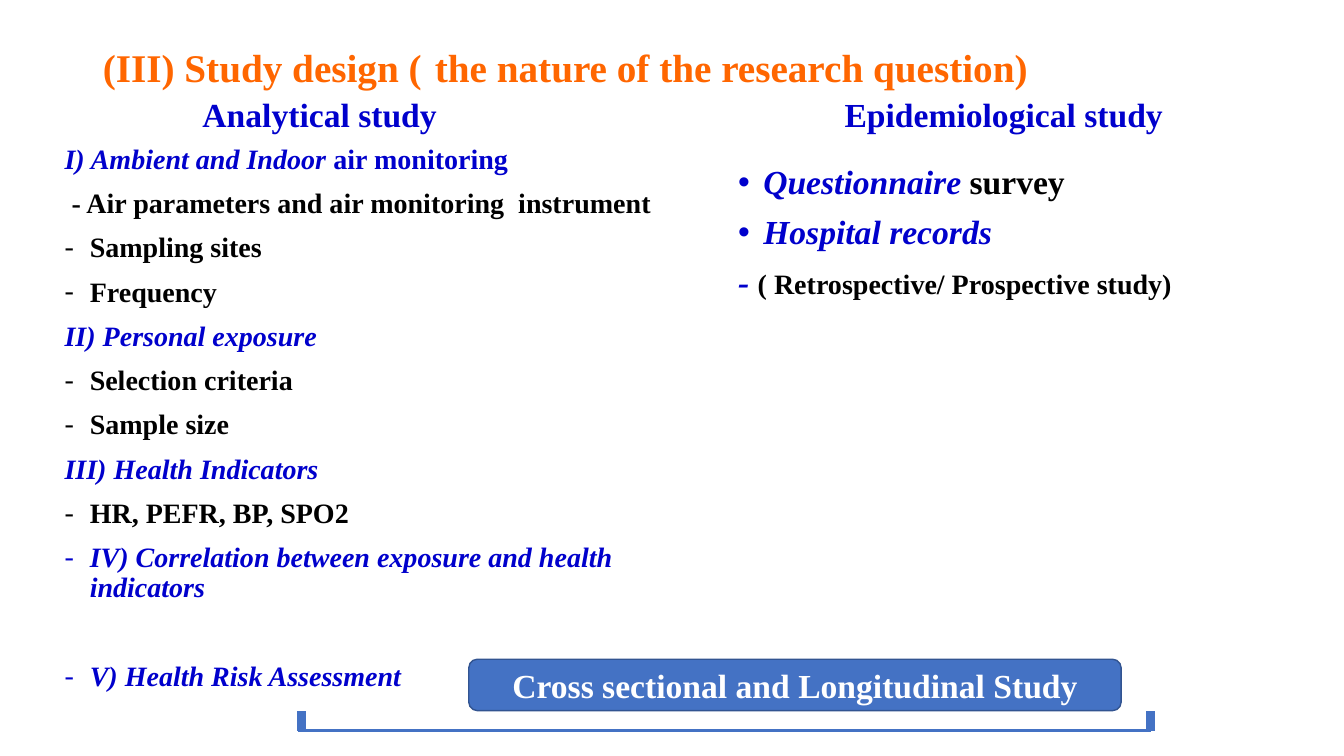
import pptx
import pptx.dml.color
import pptx.enum.shapes
import pptx.enum.text
import pptx.oxml.ns
import pptx.util
import lxml.etree

ALIGN = pptx.enum.text.PP_ALIGN
ANCHOR = pptx.enum.text.MSO_ANCHOR
ORANGE, NAVY, BLACK, WHITE = "FF6600", "0000CC", "000000", "FFFFFF"
STEEL, STEEL_EDGE = "4472C4", "325491"


def px(length):
    return pptx.util.Inches(length / 100)


def colour(value):
    return pptx.dml.color.RGBColor.from_string(value)


class StudySlide:
    font = "Times New Roman"
    indent = 25

    def __init__(self, deck):
        self.slide = deck.slides.add_slide(deck.slide_layouts[4])

    def style(self, run, size, hue, bold=True, italic=False, font=None):
        run.font.name = font or self.font
        run.font.size = pptx.util.Pt(size)
        run.font.bold = bold
        run.font.italic = italic
        run.font.color.rgb = colour(hue)

    def placeholder(self, idx, box, anchor):
        holder = self.slide.placeholders[idx]
        holder.left, holder.top, holder.width, holder.height = map(px, box)
        frame = holder.text_frame
        frame.word_wrap = True
        frame.auto_size = pptx.enum.text.MSO_AUTO_SIZE.NONE
        frame.vertical_anchor = anchor
        return frame

    def spacing(self, paragraph, before, align=ALIGN.LEFT):
        paragraph.alignment = align
        paragraph.line_spacing = 0.9
        paragraph.space_before = pptx.util.Pt(before)
        paragraph.space_after = pptx.util.Pt(0)

    def bullet(self, paragraph, mark):
        properties = paragraph._p.get_or_add_pPr()
        hang = px(self.indent) if mark else 0
        properties.set("marL", str(hang))
        properties.set("indent", str(-hang))
        qn = pptx.oxml.ns.qn
        if not mark:
            lxml.etree.SubElement(properties, qn("a:buNone"))
            return
        typeface = "Arial" if mark == "•" else self.font
        lxml.etree.SubElement(properties, qn("a:buFont"), typeface=typeface)
        lxml.etree.SubElement(properties, qn("a:buChar"), char=mark)

    def title(self, box, pieces):
        paragraph = self.placeholder(0, box, ANCHOR.MIDDLE).paragraphs[0]
        self.spacing(paragraph, 0)
        for wording, look in pieces:
            run = paragraph.add_run()
            run.text = wording
            self.style(run, **look)

    def heading(self, idx, box, wording):
        frame = self.placeholder(idx, box, ANCHOR.BOTTOM)
        frame.text = wording
        paragraph = frame.paragraphs[0]
        self.spacing(paragraph, 10, ALIGN.CENTER)
        self.bullet(paragraph, None)
        self.style(paragraph.runs[0], 24, NAVY)

    def points(self, idx, box, entries):
        frame = self.placeholder(idx, box, ANCHOR.TOP)
        for number, (mark, before, pieces) in enumerate(entries):
            paragraph = frame.add_paragraph() if number else frame.paragraphs[0]
            self.spacing(paragraph, before)
            self.bullet(paragraph, mark)
            for wording, size, hue in pieces:
                run = paragraph.add_run()
                run.text = wording
                emphasised = hue == NAVY and wording != "air monitoring"
                self.style(run, size, hue, italic=emphasised)

    def line(self, start, end, weight):
        connector = self.slide.shapes.add_connector(
            pptx.enum.shapes.MSO_CONNECTOR.STRAIGHT, *map(px, start + end))
        connector.line.color.rgb = colour(STEEL)
        connector.line.width = pptx.util.Pt(weight)
        lxml.etree.SubElement(connector._element.spPr, pptx.oxml.ns.qn("a:effectLst"))

    def banner(self, box, wording):
        panel = self.slide.shapes.add_shape(
            pptx.enum.shapes.MSO_SHAPE.ROUNDED_RECTANGLE, *map(px, box))
        panel.shadow.inherit = False
        panel.fill.solid()
        panel.fill.fore_color.rgb = colour(STEEL)
        panel.line.color.rgb = colour(STEEL_EDGE)
        panel.line.width = pptx.util.Pt(1)
        frame = panel.text_frame
        frame.word_wrap = True
        frame.vertical_anchor = ANCHOR.MIDDLE
        frame.text = wording
        frame.paragraphs[0].alignment = ALIGN.CENTER
        self.style(frame.paragraphs[0].runs[0], 24, WHITE)


def topic(wording, mark=None, before=10):
    return mark, before, [(wording, 20, NAVY)]


def detail(wording, mark="-"):
    return mark, 10, [(wording, 20, BLACK)]


def main():
    deck = pptx.Presentation()
    deck.slide_width, deck.slide_height = px(1333), px(750)
    study = StudySlide(deck)

    title_look = {"size": 28, "hue": ORANGE}
    gap_look = {"size": 11, "hue": BLACK, "bold": False, "font": "Calibri"}
    study.title((92, 19, 1150, 100), [
        ("(III) Study design ( ", title_look),
        (" ", gap_look),
        ("the nature of the research question)", title_look),
    ])
    study.heading(1, (35, 88, 564, 51), "Analytical study")
    study.points(2, (54, 139, 621, 566), [
        (None, 10, [("I) Ambient and Indoor ", 20, NAVY), ("air monitoring", 20, NAVY)]),
        detail(" - Air parameters and air monitoring  instrument", None),
        detail("Sampling sites"),
        detail("Frequency"),
        topic("II) Personal exposure"),
        detail("Selection criteria"),
        detail("Sample size"),
        topic("III) Health Indicators"),
        detail("HR, PEFR, BP, SPO2"),
        topic("IV) Correlation between exposure and health indicators", "-"),
        topic("V) Health Risk Assessment", "-", 42),
    ])
    study.heading(3, (712, 88, 567, 51), "Epidemiological study")
    study.points(4, (722, 159, 582, 459), [
        ("•", 10, [("Questionnaire", 24, NAVY), (" survey", 24, BLACK)]),
        ("•", 10, [("Hospital records", 24, NAVY)]),
        (None, 10, [("- ", 24, NAVY), ("( Retrospective/ Prospective study)", 20, BLACK)]),
    ])

    study.line((296, 725), (1142, 725), 2.25)
    for post in (299, 1141):
        study.line((post, 725), (post, 705), 6)
    study.banner((465, 654, 647, 51), "Cross sectional and Longitudinal Study")
    deck.save("out.pptx")


if __name__ == "__main__":
    main()
